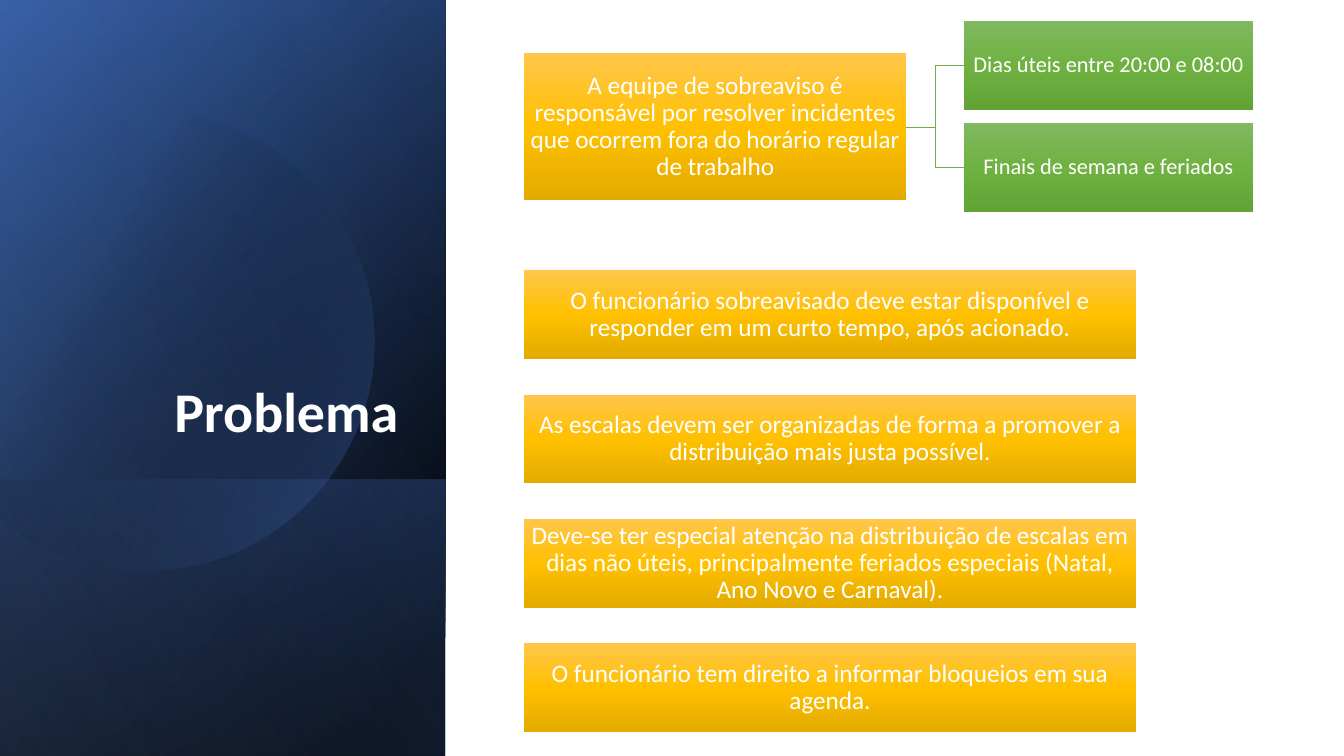
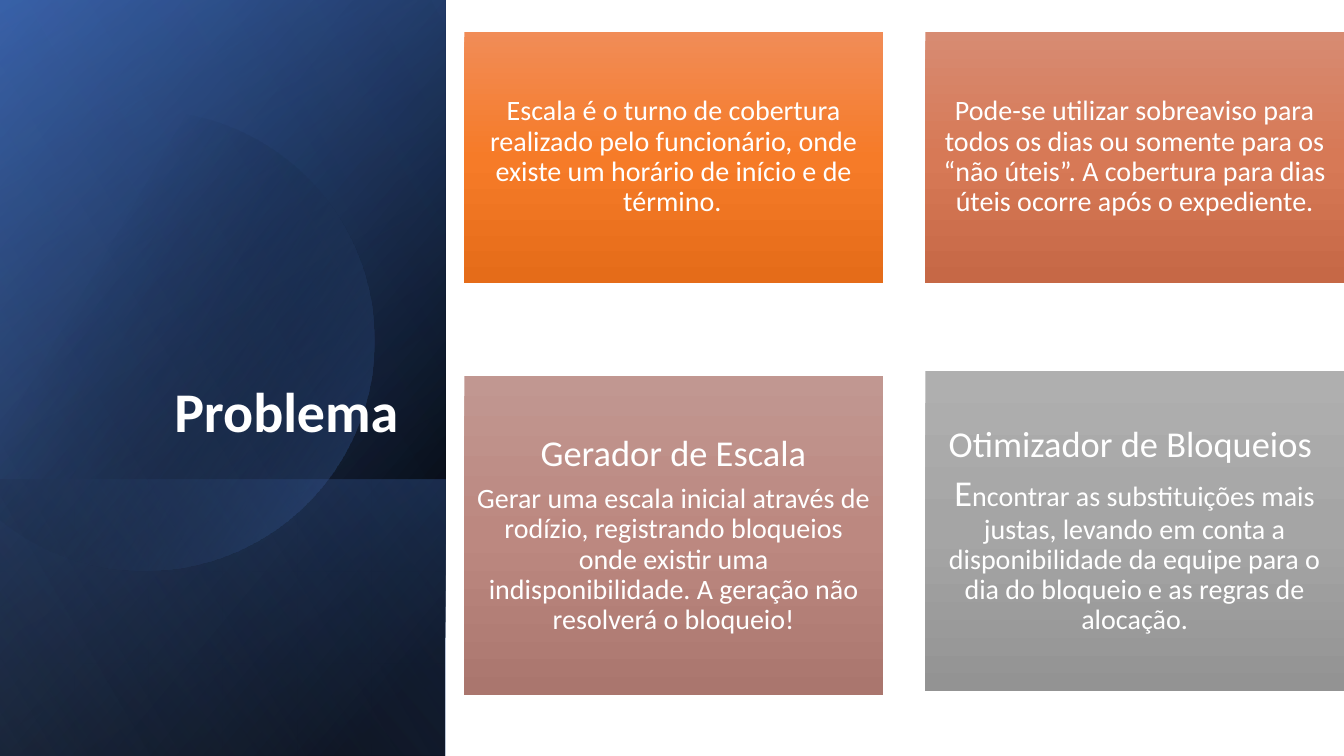
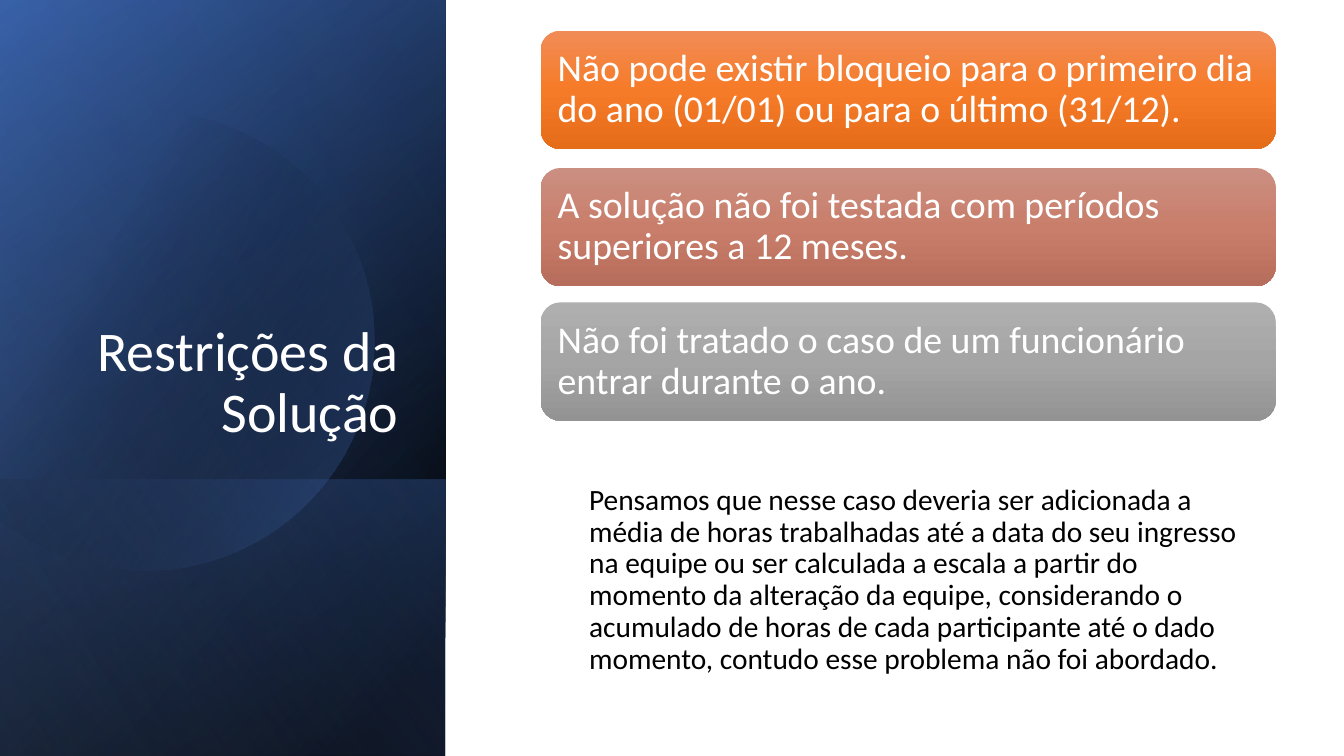
from math import acos, cos, pi, sin

from pptx import Presentation
from pptx.dml.color import RGBColor
from pptx.enum.shapes import MSO_CONNECTOR, MSO_SHAPE
from pptx.enum.text import MSO_ANCHOR, PP_ALIGN
from pptx.oxml import parse_xml
from pptx.oxml.ns import nsdecls
from pptx.util import Pt

RECT, ROUNDED = MSO_SHAPE.RECTANGLE, MSO_SHAPE.ROUNDED_RECTANGLE
ELBOW = MSO_CONNECTOR.ELBOW
LEFT, CENTER, RIGHT = PP_ALIGN.LEFT, PP_ALIGN.CENTER, PP_ALIGN.RIGHT
TOP, MIDDLE, BOTTOM = MSO_ANCHOR.TOP, MSO_ANCHOR.MIDDLE, MSO_ANCHOR.BOTTOM


class Theme:
    font = "Calibri"
    white, black, link = "FFFFFF", "000000", "70AD47"
    title, heading, rule, note, body, item, detail = 40, 26, 27, 21, 20, 18, 16
    # Box gradients, top to bottom
    gold = ("FFC64B", "FFC000", "E3AB00")
    green = ("81B861", "6FB242", "62A336")
    orange = ("F18C57", "F67B28", "E56C19")
    terracotta = ("D78B72", "D77956", "C66846")
    clay = ("CB8F81", "C97E6B", "B76D5B")
    rose = ("C19791", "BC8880", "AA766E")
    gray = ("AFAFAF", "A5A5A5", "939393")
    # Side panel layers, back to front: top, height, angle, (position, colour, opacity)
    panel = [
        (0, 540, 50, [(8, "000000", 100), (100, "2F5597", 100)]),
        (0, 540, 30, [(0, "000000", 0), (99, "4472C4", 46)]),
        (342.7, 197.3, 130, [(2, "4472C4", 29), (100, "000000", 30)]),
        (None, None, 30, [(29, "000000", 0), (100, "4472C4", 43)]),  # disc
        (0, 540, 120, [(0, "000000", 0), (99, "8FAADC", 11)]),
    ]


def paint(sp, stops, angle):
    """Gradient fill without line or shadow."""
    gs = "".join(
        f'<a:gs pos="{pos * 1000}"><a:srgbClr val="{color}">'
        f'<a:alpha val="{alpha * 1000}"/></a:srgbClr></a:gs>'
        for pos, color, alpha in stops)
    sp._element.spPr.insert(2, parse_xml(
        f'<a:gradFill {nsdecls("a")} rotWithShape="1"><a:gsLst>{gs}</a:gsLst>'
        f'<a:lin ang="{angle * 60000}" scaled="0"/></a:gradFill>'))
    sp.line.fill.background()
    sp.shadow.inherit = False


def add_text(s, frame, paragraphs, size, kind=None, colors=None, align=CENTER,
             anchor=MIDDLE, insets=(1, 1, 1, 1), color=Theme.white, bold=False):
    """Text in a gradient shape, or in a plain text box when kind is None.

    A paragraph is a string or a list of (text, size) runs."""
    frame = [Pt(v) for v in frame]
    if kind is None:
        sp = s.shapes.add_textbox(*frame)
    else:
        sp = s.shapes.add_shape(kind, *frame)
        paint(sp, [(50 * i, c, 100) for i, c in enumerate(colors)], 90)
    tf = sp.text_frame
    tf.word_wrap = True
    tf.vertical_anchor = anchor
    tf.margin_left, tf.margin_top, tf.margin_right, tf.margin_bottom = map(Pt, insets)
    for i, runs in enumerate(paragraphs):
        p = tf.add_paragraph() if i else tf.paragraphs[0]
        p.alignment = align
        p.line_spacing = 0.9
        p.space_after = Pt(0.35 * size)
        p.font.name, p.font.size, p.font.bold = Theme.font, Pt(size), bold
        p.font.color.rgb = RGBColor.from_string(color)
        for text, run_size in [(runs, size)] if isinstance(runs, str) else runs:
            r = p.add_run()
            r.text = text
            if run_size != size:
                r.font.size = Pt(run_size)


prs = Presentation()
prs.slide_width, prs.slide_height = Pt(960), Pt(540)

# Side panel and title of every slide
PANEL_W = 318.2
DISC_X, DISC_Y, DISC_R = 103, 243.2, 164.4
disc_end = pi - acos(DISC_X / DISC_R)  # where the disc meets the slide edge
disc = [(Pt(DISC_X + DISC_R * cos(a)), Pt(DISC_Y + DISC_R * sin(a)))
        for a in (disc_end * (i / 60 - 1) for i in range(121))]
slides = []
for title, bold in [("Problema", True), ("Problema", True),
                    ("Restrições da Solução", False)]:
    s = prs.slides.add_slide(prs.slide_layouts[6])
    for top, height, angle, stops in Theme.panel:
        if height is None:
            outline = s.shapes.build_freeform(*disc[0])
            outline.add_line_segments(disc[1:], close=True)
            sp = outline.convert_to_shape()
        else:
            shift = (PANEL_W - height) / 2
            sp = s.shapes.add_shape(RECT, Pt(shift), Pt(top - shift),
                                    Pt(height), Pt(PANEL_W))
            sp.rotation = 90
            sp._element.spPr.xfrm.set("flipH", "1")
        paint(sp, stops, angle)
    add_text(s, (46.1, 132.5, 245.5, 188.6), [title], Theme.title, align=RIGHT,
             anchor=BOTTOM, insets=(7.2, 3.6, 7.2, 3.6), bold=bold)
    slides.append(s)
duty, concepts, limits = slides

# Slide 1: on-call team, its hours and its rules
ITEM_X, ITEM_H = 374.4, 63.4
TEAM_Y, TEAM_W, TEAM_H = 38.2, 273, 105
HOURS_X, HOURS_W = 688.5, 206.5
add_text(duty, (ITEM_X, TEAM_Y, TEAM_W, TEAM_H),
         ["A equipe de sobreaviso é responsável por resolver incidentes que "
          "ocorrem fora do horário regular de trabalho"],
         Theme.item, RECT, Theme.gold)
for y, hours in [(15, "Dias úteis entre 20:00 e 08:00"),
                 (87.7, "Finais de semana e feriados")]:
    add_text(duty, (HOURS_X, y, HOURS_W, ITEM_H), [hours],
             Theme.detail, RECT, Theme.green)
    cx = duty.shapes.add_connector(ELBOW, Pt(ITEM_X + TEAM_W), Pt(TEAM_Y + TEAM_H / 2),
                                   Pt(HOURS_X), Pt(y + ITEM_H / 2))
    cx.line.color.rgb = RGBColor.from_string(Theme.link)
    cx.line.width = Pt(0.5)
    cx._element.spPr.append(parse_xml(f'<a:effectLst {nsdecls("a")}/>'))

for i, text in enumerate([
    "O funcionário sobreavisado deve estar disponível e responder em um curto "
    "tempo, após acionado.",
    "As escalas devem ser organizadas de forma a promover a distribuição mais "
    "justa possível.",
    "Deve-se ter especial atenção na distribuição de escalas em dias não úteis, "
    "principalmente feriados especiais (Natal, Ano Novo e Carnaval).",
    "O funcionário tem direito a informar bloqueios em sua agenda.",
]):
    add_text(duty, (ITEM_X, 193 + 88.8 * i, 437, ITEM_H), [text],
             Theme.item, RECT, Theme.gold)

# Slide 2: concepts above, parts of the solution below
COL_1, COL_2, CARD_W = 331.7, 661, 299
for x, y, h, inset, colors, paragraphs in [
    (COL_1, 22.6, 179.4, 6, Theme.orange,
     ["Escala é o turno de cobertura realizado pelo funcionário, onde existe um "
      "horário de início e de término.\t"]),
    (COL_2, 22.6, 179.4, 6, Theme.terracotta,
     ["Pode-se utilizar sobreaviso para todos os dias ou somente para os “não "
      "úteis”. A cobertura para dias úteis ocorre após o expediente."]),
    (COL_1, 268.6, 227.8, 8, Theme.rose,
     [[("Gerador de Escala", Theme.heading)],
      "Gerar uma escala inicial através de rodízio, registrando bloqueios onde "
      "existir uma indisponibilidade. A geração não resolverá o bloqueio!"]),
    (COL_2, 265, 228.7, 8, Theme.gray,
     [[("Otimizador de Bloqueios ", Theme.heading)],
      [("E", Theme.heading),
       ("ncontrar as substituições mais justas, levando em conta a "
        "disponibilidade da equipe para o dia do bloqueio e as regras de "
        "alocação.", Theme.body)]]),
]:
    add_text(concepts, (x, y, CARD_W, h), paragraphs, Theme.body, RECT, colors,
             insets=[inset] * 4)

# Slide 3: limits and a closing note
LIMIT_X, LIMIT_W = 386.2, 525
for y, colors, text in [
    (21.9, Theme.orange, "Não pode existir bloqueio para o primeiro dia do ano "
                         "(01/01) ou para o último (31/12)."),
    (120, Theme.clay, "A solução não foi testada com períodos superiores a 12 meses."),
    (216, Theme.gray, "Não foi tratado o caso de um funcionário entrar durante o ano."),
]:
    add_text(limits, (LIMIT_X, y, LIMIT_W, 84.5), [text], Theme.rule, ROUNDED,
             colors, align=LEFT, insets=[8] * 4)
add_text(limits, (LIMIT_X, 343.4, LIMIT_W, 145.4),
         ["Pensamos que nesse caso deveria ser adicionada a média de horas "
          "trabalhadas até a data do seu ingresso na equipe ou ser calculada a "
          "escala a partir do momento da alteração da equipe, considerando o "
          "acumulado de horas de cada participante até o dado momento, contudo "
          "esse problema não foi abordado."],
         Theme.note, align=LEFT, anchor=TOP, insets=(34.6, 3, 15, 3),
         color=Theme.black)

prs.save("out.pptx")
